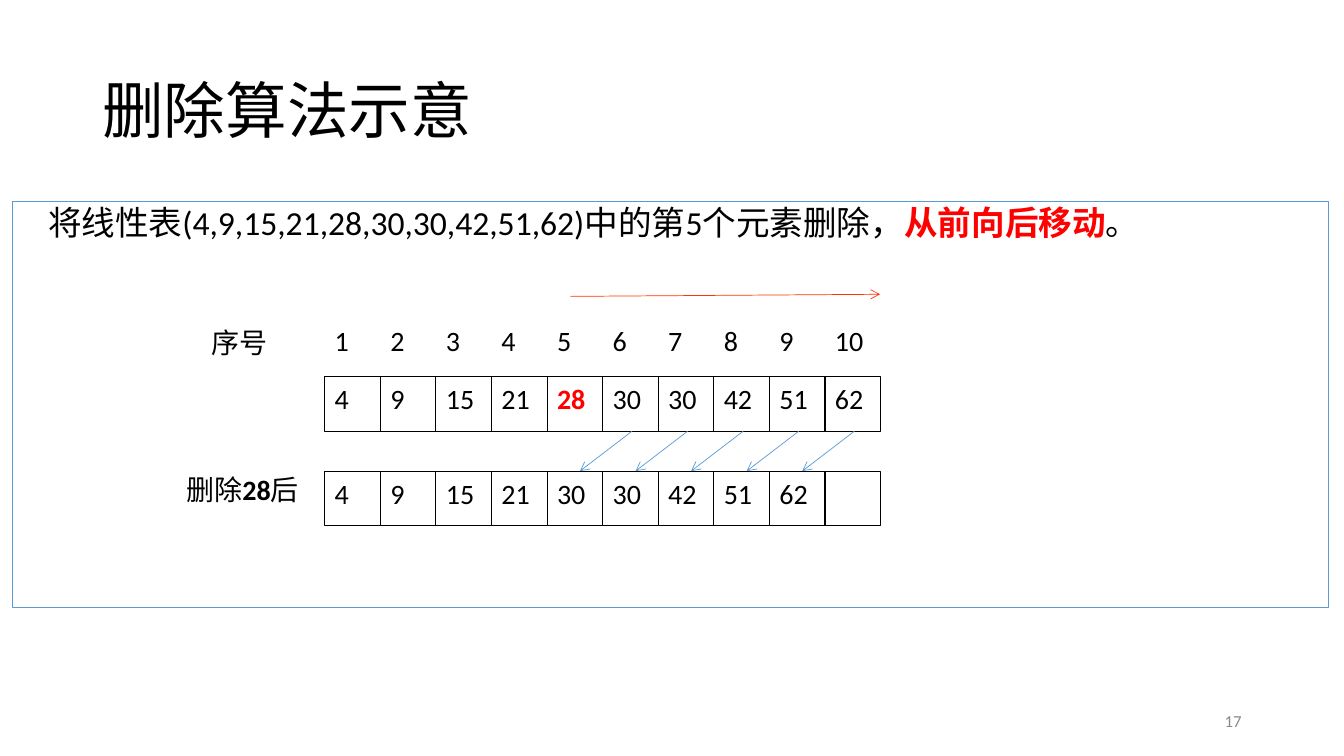
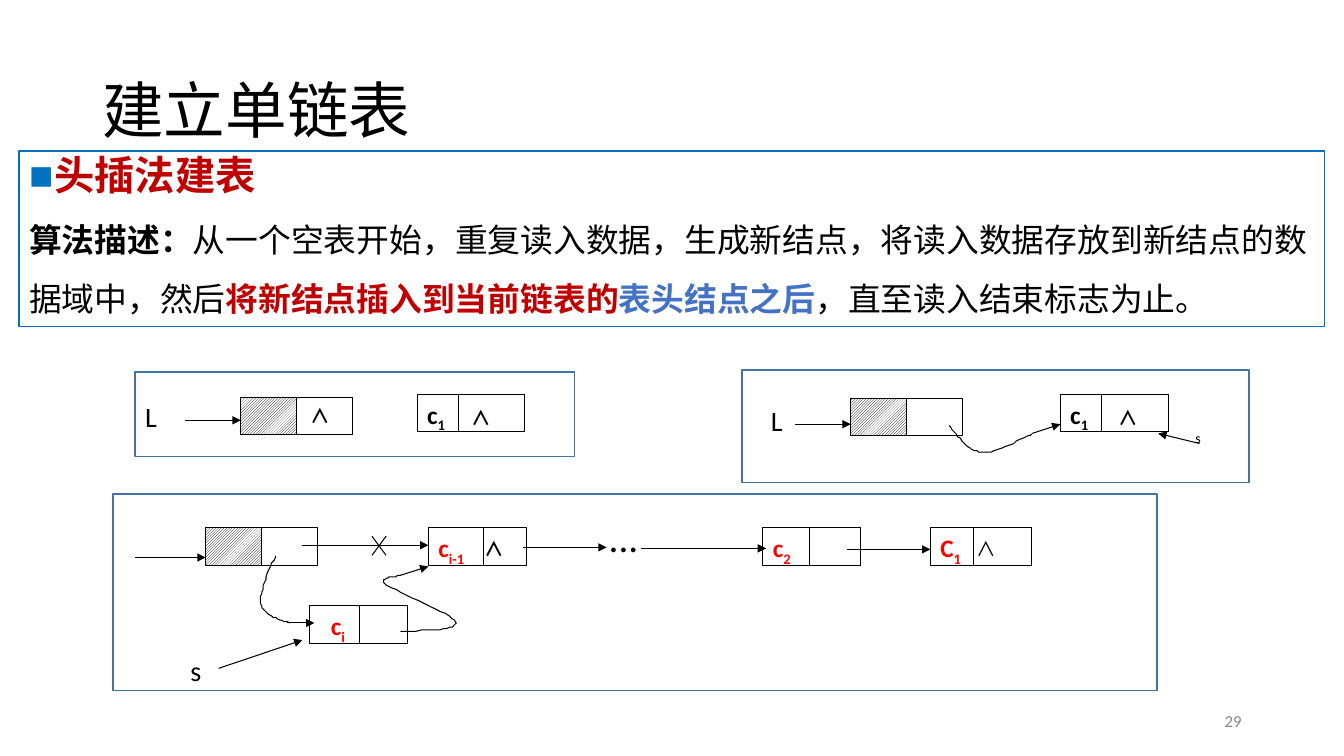
from dataclasses import dataclass

from lxml.etree import SubElement
from pptx import Presentation
from pptx.dml.color import RGBColor
from pptx.enum.dml import MSO_PATTERN
from pptx.enum.shapes import MSO_CONNECTOR, MSO_SHAPE
from pptx.enum.text import MSO_ANCHOR as ANCHOR, PP_ALIGN as ALIGN
from pptx.oxml.ns import qn
from pptx.util import Pt


@dataclass(frozen=True)
class Theme:
    # Colours
    black: str = "000000"
    white: str = "FFFFFF"
    grey: str = "898989"
    red: str = "FF0000"
    dark_red: str = "C00000"
    arrow_red: str = "FF3300"
    blue: str = "5B9BD5"
    bullet_blue: str = "0070C0"
    text_blue: str = "4472C4"
    frame_blue: str = "43739E"
    # Type
    latin: str = "Calibri"
    cjk: str = "Noto Sans CJK SC"
    arial: str = "Arial"
    title: float = 44
    heading: float = 28.8
    dots: float = 28
    body: float = 24
    description: float = 23.4
    label: float = 20
    node: float = 18
    mark: float = 14
    number: float = 12
    small: float = 10


T = Theme()


def rgb(color):
    return RGBColor.from_string(color)


# Text
def write(p, text, size=T.label, color=T.black, bold=False, font=T.latin, base=None):
    r = p.add_run()
    r.text = text
    f = r.font
    f.size, f.bold, f.name = Pt(size), bold, font
    f.color.rgb = rgb(color)
    rPr = r._r.get_or_add_rPr()
    if base is not None:
        rPr.set("baseline", str(base * 1000))
    SubElement(rPr, qn("a:ea")).set("typeface", T.cjk)


def text_box(s, x, y, w, h, text="", align=ALIGN.LEFT, anchor=ANCHOR.TOP, **fmt):
    tf = s.shapes.add_textbox(Pt(x), Pt(y), Pt(w), Pt(h)).text_frame
    tf.word_wrap = True
    tf.vertical_anchor = anchor
    p = tf.paragraphs[0]
    p.alignment = align
    if text:
        write(p, text, **fmt)
    return p


def indent(p, left, first=0):
    pPr = p._p.get_or_add_pPr()
    pPr.set("marL", str(Pt(left)))
    pPr.set("indent", str(Pt(first)))
    return pPr


def square_bullet(p, color):
    pPr = indent(p, 18, -18)
    clr = SubElement(pPr, qn("a:buClr"))
    SubElement(clr, qn("a:srgbClr")).set("val", color)
    SubElement(pPr, qn("a:buFont")).set("typeface", T.arial)
    SubElement(pPr, qn("a:buChar")).set("char", "■")


# Shapes
def rect(s, x, y, w, h, line=T.black, width=0.75, fill=None, hatched=False):
    sp = s.shapes.add_shape(MSO_SHAPE.RECTANGLE, Pt(x), Pt(y), Pt(w), Pt(h))
    sp.shadow.inherit = False
    sp.line.color.rgb = rgb(line)
    sp.line.width = Pt(width)
    if hatched:
        sp.fill.patterned()
        sp.fill.pattern = MSO_PATTERN.LIGHT_UPWARD_DIAGONAL
        sp.fill.fore_color.rgb = rgb(T.black)
        sp.fill.back_color.rgb = rgb(T.white)
    elif fill:
        sp.fill.solid()
        sp.fill.fore_color.rgb = rgb(fill)
    else:
        sp.fill.background()
    tf = sp.text_frame
    tf.word_wrap = True
    tf.vertical_anchor = ANCHOR.TOP
    tf.paragraphs[0].alignment = ALIGN.LEFT
    return tf


def line(s, x1, y1, x2, y2, color=T.black, width=0.75, tip=None):
    c = s.shapes.add_connector(MSO_CONNECTOR.STRAIGHT, Pt(x1), Pt(y1), Pt(x2), Pt(y2))
    c.line.color.rgb = rgb(color)
    c.line.width = Pt(width)
    spPr = c._element.spPr
    if tip:
        SubElement(spPr.find(qn("a:ln")), qn("a:tailEnd")).set("type", tip)
    SubElement(spPr, qn("a:effectLst"))


def pointer(s, x1, y1, x2, y2):
    line(s, x1, y1, x2, y2, tip="triangle")


def curve(s, start, *segments, steps=16):
    """Draw a chain of cubic Bézier segments, each given as three points."""
    points, p0 = [], start
    for p1, p2, p3 in segments:
        for i in range(1, steps + 1):
            t = i / steps
            u = 1 - t
            points.append(tuple(
                u**3 * a + 3 * u * u * t * b + 3 * u * t * t * c + t**3 * d
                for a, b, c, d in zip(p0, p1, p2, p3)))
        p0 = p3
    fb = s.shapes.build_freeform(*start, scale=Pt(1))
    fb.add_line_segments(points, close=False)
    sp = fb.convert_to_shape()
    sp.shadow.inherit = False
    sp.fill.background()
    sp.line.color.rgb = rgb(T.black)
    sp.line.width = Pt(0.75)


# Linked-list parts
def null_mark(s, x, y, bold=True):
    text_box(s, x - 16, y - 14, 32, 28, "∧", align=ALIGN.CENTER,
             anchor=ANCHOR.MIDDLE, size=T.mark, bold=bold, font=T.cjk)


def head_node(s, x, y):
    rect(s, x, y, 40, 27, hatched=True)
    rect(s, x + 40, y, 40, 27, fill=T.white)


def data_node(s, x, y, w, split, name, sub, color=T.red, inset=7.2):
    tf = rect(s, x, y, w, 27, fill=T.white)
    tf.margin_left = Pt(inset)
    p = tf.paragraphs[0]
    write(p, name, size=T.node, color=color, bold=True)
    write(p, sub, size=T.node, color=color, bold=True, base=-25)
    line(s, x + split, y, x + split, y + 27)


# Slides
def new_slide(prs, title, number):
    s = prs.slides.add_slide(prs.slide_layouts[6])
    text_box(s, 678, 500.5, 216, 29, number, align=ALIGN.RIGHT,
             anchor=ANCHOR.MIDDLE, size=T.number, color=T.grey)
    p = text_box(s, 66, 28.8, 828, 104.4, title, anchor=ANCHOR.MIDDLE,
                 size=T.title, font=T.cjk)
    p.line_spacing = 0.9
    return s


def deletion_slide(prs):
    s = new_slide(prs, "删除算法示意", "17")

    # Task
    p = rect(s, 9.2, 144, 939.6, 290, line=T.blue).paragraphs[0]
    indent(p, 18)
    p.line_spacing, p.space_before = 0.9, Pt(10)
    write(p, "将线性表(4,9,15,21,28,30,30,42,51,62)中的第5个元素删除，", size=T.body)
    write(p, "从前向后移动", size=T.body, color=T.red, bold=True)
    write(p, "。", size=T.body)

    # Numbers, list before and list after
    before = [4, 9, 15, 21, 28, 30, 30, 42, 51, 62]
    removed = 4
    after = before[:removed] + before[removed + 1:] + [""]
    left, step, height = 232, 39.7, 39
    top, bottom = 269, 336.5
    text_box(s, 144, 229, 61, 44, "序号")
    p = text_box(s, 126, 334, 111, 43, "删除")
    write(p, "28", bold=True)
    write(p, "后")
    for i, (old, new) in enumerate(zip(before, after)):
        x = left + i * step
        hit = i == removed
        text_box(s, x, 227.5, step, height, str(i + 1))
        cell = rect(s, x, top, step, height, fill=T.white)
        write(cell.paragraphs[0], str(old), color=T.red if hit else T.black, bold=hit)
        cell = rect(s, x, bottom, step, height, fill=T.white)
        if new:
            write(cell.paragraphs[0], str(new))

    # Moves
    line(s, 407.5, 211.7, 628.6, 210.2, color=T.arrow_red, width=0.5, tip="arrow")
    for i in range(removed + 1, len(before)):
        x = left + i * step
        line(s, x + 21, top + height, x - step + 23.5, bottom,
             color=T.blue, width=0.5, tip="arrow")


def linked_list_slide(prs):
    s = new_slide(prs, "建立单链表", "29")

    # Description
    tf = rect(s, 13.7, 108, 932.4, 125.3, line=T.bullet_blue, width=1)
    p = tf.paragraphs[0]
    p.line_spacing, p.space_before = 0.9, Pt(10)
    square_bullet(p, T.bullet_blue)
    write(p, "头插法建表", size=T.heading, color=T.dark_red, bold=True, font=T.arial)
    p = tf.add_paragraph()
    p.alignment, p.line_spacing = ALIGN.LEFT, 1.5
    for text, color, bold in (
        ("算法描述：", T.black, True),
        ("从一个空表开始，重复读入数据，生成新结点，将读入数据存放到新结点的数据域中，然后",
         T.black, False),
        ("将新结点插入到当前链表的", T.dark_red, True),
        ("表头结点之后", T.text_blue, True),
        ("，直至读入结束标志为止。", T.black, False),
    ):
        write(p, text, size=T.description, color=color, bold=bold, font=T.arial)

    # Frames
    for box in ((96.5, 265.7, 314, 60.5), (530, 264.2, 362.2, 80.6),
                (80.6, 352.8, 746, 140.4)):
        rect(s, *box, line=T.frame_blue, width=1)

    # Empty list and first node
    text_box(s, 96.5, 281.5, 46, 27, "L")
    pointer(s, 132.5, 300.2, 172, 300.2)
    head_node(s, 172, 283.7)
    null_mark(s, 229, 297)
    data_node(s, 298, 281.5, 77, 29.5, "c", "1", color=T.black)
    null_mark(s, 344, 298)

    # First node linked in
    text_box(s, 543.6, 284.4, 46, 27, "L")
    pointer(s, 568, 303, 607.7, 303)
    head_node(s, 607.7, 284.4)
    data_node(s, 757.4, 281.5, 77, 29.5, "c", "1", color=T.black)
    null_mark(s, 806, 298)
    curve(s, (677.5, 303.8),
          ((684.7, 312.5), (691.2, 321.8), (701.3, 323.3)),
          ((711.4, 324), (731.5, 312.5), (737.3, 310)))
    pointer(s, 737.3, 309.6, 757.4, 303)
    text_box(s, 846.7, 303, 38, 27, "s", size=T.small)
    pointer(s, 856.8, 316.8, 827.3, 309.6)

    # General step: the chain
    y = 376.8
    head_node(s, 146.9, y)
    data_node(s, 306, y, 70, 39.6, "c", "i-1")
    null_mark(s, 353, 392)
    data_node(s, 545, y, 70, 33.2, "c", "2")
    data_node(s, 664.6, y, 72, 31, "C", "1")
    null_mark(s, 704.5, 392, bold=False)
    text_box(s, 427.7, 362.9, 70, 41, "...", size=T.dots)
    for x1, x2, level in ((96.5, 146.9, 398.2), (216, 306, 389.5), (373.7, 433.4, 391),
                          (457.9, 547.2, 391.7), (604.8, 664.6, 392.4)):
        pointer(s, x1, level, x2, level)
    line(s, 275.8, 383, 265.7, 396.7)
    line(s, 265.7, 383, 275.8, 396.7)

    # General step: the new node
    data_node(s, 221, 432.7, 70, 36, "c", "i", inset=15.4)
    curve(s, (196.6, 397.4),
          ((190.8, 410.4), (185, 423.4), (186.5, 431.3)),
          ((188, 439.2), (197.3, 442), (206.6, 445)))
    pointer(s, 205.2, 445, 224.6, 445)
    curve(s, (285.8, 450.7),
          ((306.7, 450.7), (327.6, 450), (325.4, 444.2)),
          ((324, 438.5), (283, 422.6), (275.8, 417.6)),
          ((269.3, 411.8), (284.4, 411.8), (285.8, 411)))
    pointer(s, 285.8, 411, 306, 404.6)
    text_box(s, 128.9, 463, 46, 27, "s")
    pointer(s, 156.2, 477.4, 216, 457.2)


def main():
    prs = Presentation()
    prs.slide_width, prs.slide_height = Pt(960), Pt(540)
    deletion_slide(prs)
    linked_list_slide(prs)
    prs.save("out.pptx")


if __name__ == "__main__":
    main()
